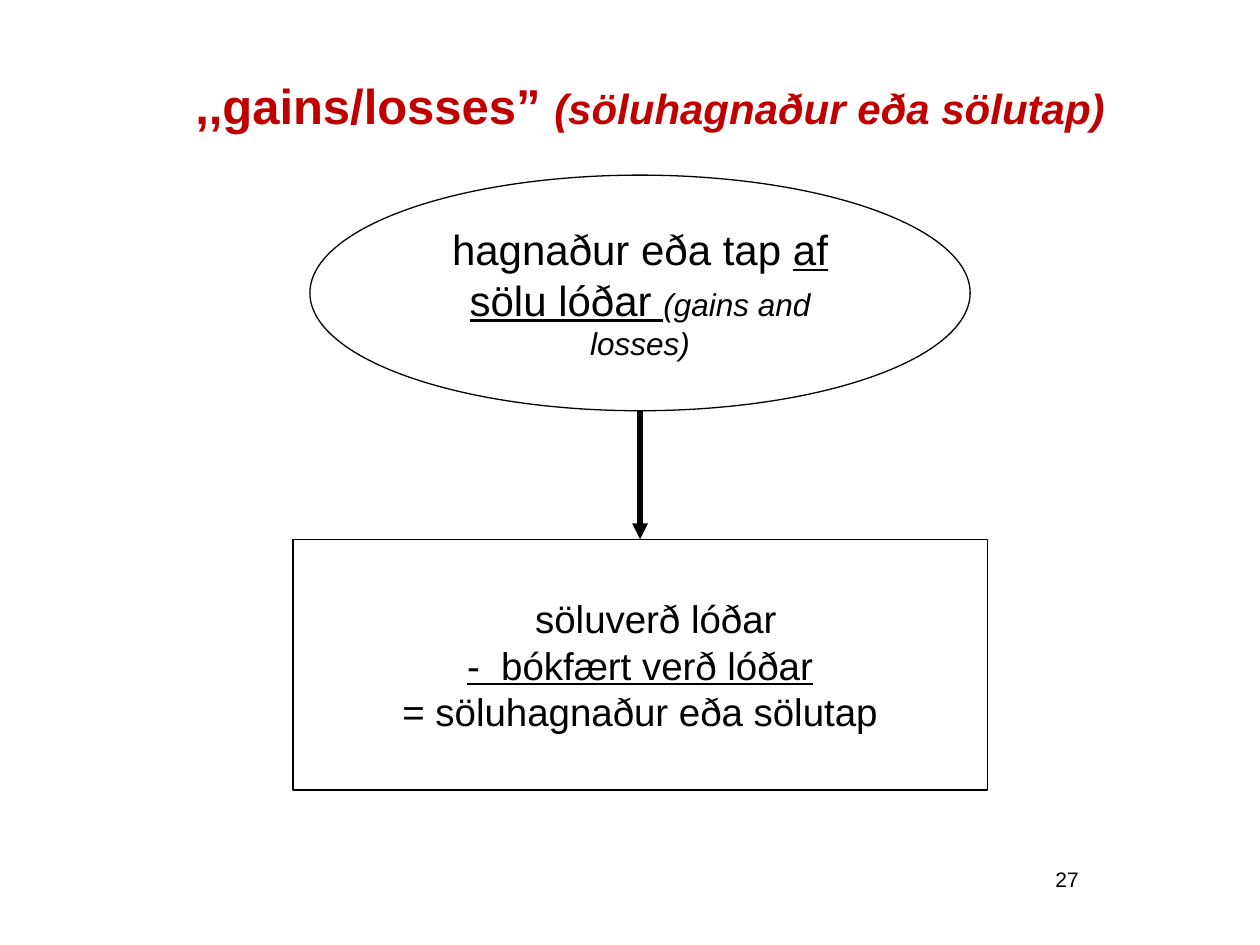
from lxml import etree
from pptx import Presentation
from pptx import util as u
from pptx.dml.color import RGBColor
from pptx.enum import shapes, text
from pptx.oxml.ns import qn

BLACK = RGBColor(0x00, 0x00, 0x00)
RED = RGBColor(0xC0, 0x00, 0x00)
WIDTH, HEIGHT = 10, 7.5
MIDDLE = 5.08  # shared vertical axis of the diagram


class Painter:
    """Holds the style and the current slide; lengths are in inch columns and rows."""

    font = "Arial"
    insets = (0.1, 0.05)

    def __init__(self, page):
        self.page = page

    def fill_text(self, box, paragraphs, size, color=BLACK, align=text.PP_ALIGN.CENTER,
                  insets=insets, anchor=text.MSO_ANCHOR.MIDDLE):
        frame = box.text_frame
        side, edge = (u.Inches(value) for value in insets)
        layout = dict(word_wrap=True, vertical_anchor=anchor, margin_left=side,
                      margin_right=side, margin_top=edge, margin_bottom=edge)
        for name, value in layout.items():
            setattr(frame, name, value)
        for number, spans in enumerate(paragraphs):
            para = frame.add_paragraph() if number else frame.paragraphs[0]
            para.alignment = align
            for words, changes in spans:
                span = para.add_run()
                span.text = words
                span.font.color.rgb = color
                style = {"name": self.font, "size": u.Pt(size), **changes}
                for name, value in style.items():
                    setattr(span.font, name, value)

    def label(self, left, top, width, height, paragraphs, size, **options):
        box = self.page.shapes.add_textbox(*map(u.Inches, (left, top, width, height)))
        self.fill_text(box, paragraphs, size, **options)

    def node(self, kind, top, width, height, paragraphs, size):
        box = self.page.shapes.add_shape(
            kind, *map(u.Inches, (MIDDLE - width / 2, top, width, height)))
        box.shadow.inherit = False
        box.fill.background()
        box.line.color.rgb = BLACK
        box.line.width = u.Pt(0.75)
        self.fill_text(box, paragraphs, size)
        return box

    def arrow(self, start, start_site, end, end_site):
        line = self.page.shapes.add_connector(shapes.MSO_CONNECTOR.STRAIGHT, 0, 0, 0, 0)
        line.begin_connect(start, start_site)
        line.end_connect(end, end_site)
        line.line.color.rgb = BLACK
        line.line.width = u.Pt(3)
        properties = line.element.spPr
        etree.SubElement(properties.find(qn("a:ln")), qn("a:tailEnd"), type="triangle")
        etree.SubElement(properties, qn("a:effectLst"))


def main():
    deck = Presentation()
    deck.slide_width, deck.slide_height = u.Inches(WIDTH), u.Inches(HEIGHT)
    page = deck.slides.add_slide(deck.slide_layouts[6])
    painter = Painter(page)

    # Page number
    painter.label(6.58, 6.83, 2.08, 0.5, [[("27", {})]], 12,
                  align=text.PP_ALIGN.RIGHT, anchor=text.MSO_ANCHOR.TOP)

    # Title
    painter.label(0.83, 0.52, 8.66, 0.63, [[
        (",,gains/losses” ", {"bold": True}),
        ("(söluhagnaður eða sölutap)", {"bold": True, "italic": True, "size": u.Pt(24)}),
    ]], 28, color=RED, insets=(0, 0))

    # Concept and its calculation
    concept = painter.node(shapes.MSO_SHAPE.OVAL, 1.39, 5.24, 1.87, [[
        ("hagnaður eða tap ", {}),
        ("af sölu lóðar ", {"underline": True}),
        ("(gains and losses)", {"italic": True, "size": u.Pt(18)}),
    ]], 24)
    formula = painter.node(shapes.MSO_SHAPE.RECTANGLE, 4.28, 5.51, 1.99, [
        [("söluverð lóðar", {})],
        [("-  bókfært verð lóðar", {"underline": True})],
        [("= söluhagnaður eða sölutap", {})],
    ], 22)

    # Indent the first term past the operator signs
    first_term = formula.text_frame.paragraphs[0]
    first_term.element.get_or_add_pPr().set("marL", str(u.Inches(0.25))) \
        if hasattr(first_term, "element") else \
        first_term._p.get_or_add_pPr().set("marL", str(u.Inches(0.25)))

    # Arrow from the bottom of the oval (site 4 of 8) to the top of the rectangle
    painter.arrow(concept, 2, formula, 0)
    deck.save("out.pptx")


if __name__ == "__main__":
    main()
